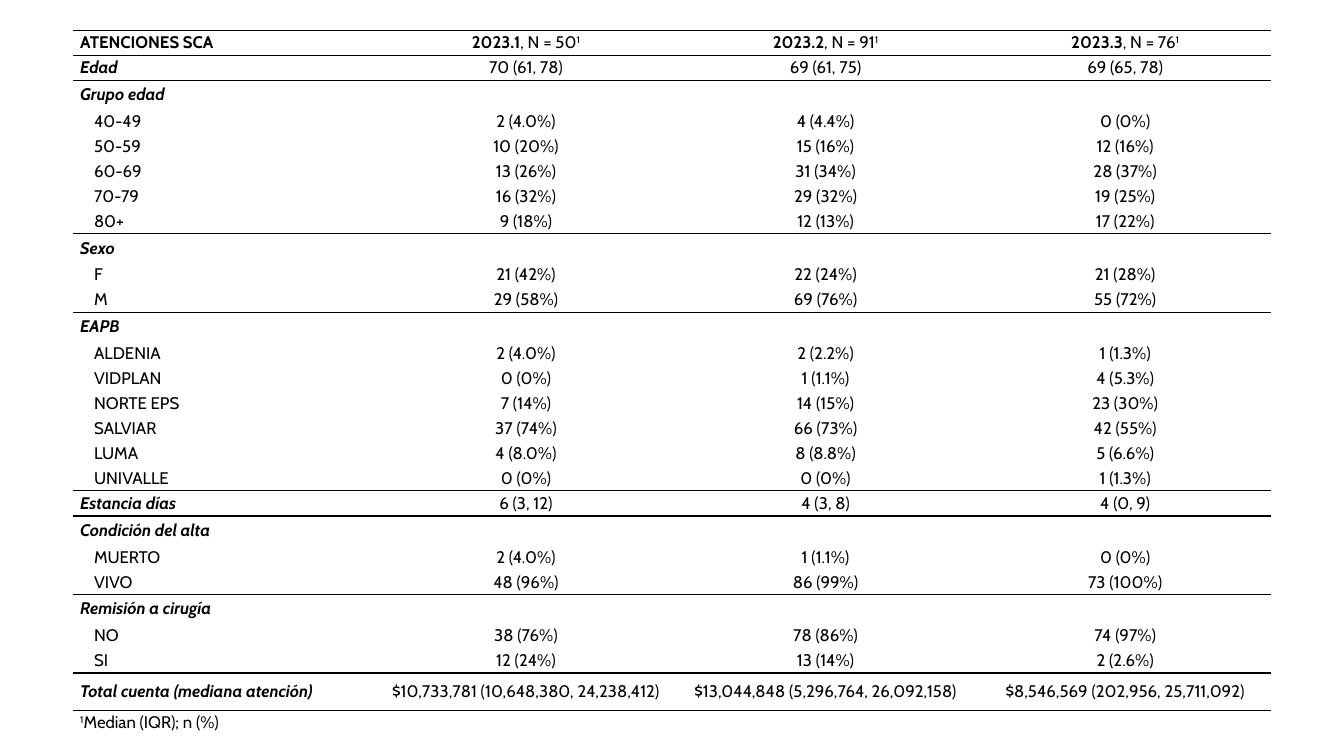
import pptx
import pptx.dml.color
import pptx.enum.text
import pptx.oxml.ns
import pptx.util
from lxml import etree

Cm = pptx.util.Cm
Pt = pptx.util.Pt
qn = pptx.oxml.ns.qn

BLACK = pptx.dml.color.RGBColor(0, 0, 0)
WHITE = pptx.dml.color.RGBColor(255, 255, 255)

HEADER, SUMMARY, GROUP, ITEM, NOTE = range(5)
TOTAL_LABEL = "Total cuenta (mediana atención)"
PERIODS = [("2023.1", 50), ("2023.2", 91), ("2023.3", 76)]
ROWS = [
    (SUMMARY, "Edad", "70 (61, 78)", "69 (61, 75)", "69 (65, 78)"),
    (GROUP, "Grupo edad"),
    (ITEM, "40-49", "2 (4.0%)", "4 (4.4%)", "0 (0%)"),
    (ITEM, "50-59", "10 (20%)", "15 (16%)", "12 (16%)"),
    (ITEM, "60-69", "13 (26%)", "31 (34%)", "28 (37%)"),
    (ITEM, "70-79", "16 (32%)", "29 (32%)", "19 (25%)"),
    (ITEM, "80+", "9 (18%)", "12 (13%)", "17 (22%)"),
    (GROUP, "Sexo"),
    (ITEM, "F", "21 (42%)", "22 (24%)", "21 (28%)"),
    (ITEM, "M", "29 (58%)", "69 (76%)", "55 (72%)"),
    (GROUP, "EAPB"),
    (ITEM, "ALDENIA", "2 (4.0%)", "2 (2.2%)", "1 (1.3%)"),
    (ITEM, "VIDPLAN", "0 (0%)", "1 (1.1%)", "4 (5.3%)"),
    (ITEM, "NORTE EPS", "7 (14%)", "14 (15%)", "23 (30%)"),
    (ITEM, "SALVIAR", "37 (74%)", "66 (73%)", "42 (55%)"),
    (ITEM, "LUMA", "4 (8.0%)", "8 (8.8%)", "5 (6.6%)"),
    (ITEM, "UNIVALLE", "0 (0%)", "0 (0%)", "1 (1.3%)"),
    (SUMMARY, "Estancia días", "6 (3, 12)", "4 (3, 8)", "4 (0, 9)"),
    (GROUP, "Condición del alta"),
    (ITEM, "MUERTO", "2 (4.0%)", "1 (1.1%)", "0 (0%)"),
    (ITEM, "VIVO", "48 (96%)", "86 (99%)", "73 (100%)"),
    (GROUP, "Remisión a cirugía"),
    (ITEM, "NO", "38 (76%)", "78 (86%)", "74 (97%)"),
    (ITEM, "SI", "12 (24%)", "13 (14%)", "2 (2.6%)"),
    (SUMMARY, TOTAL_LABEL, "$10,733,781 (10,648,380, 24,238,412)",
     "$13,044,848 (5,296,764, 26,092,158)", "$8,546,569 (202,956, 25,711,092)"),
]


class Page:
    font_name = "Cabin"
    font_size = Pt(12)
    rule_width = Pt(1)
    indent = Cm(0.18)
    item_indent = Cm(0.53)

    def __init__(self, deck):
        self.slide = deck.slides.add_slide(deck.slide_layouts[6])

    def table(self, left, top, column_widths, row_heights):
        frame = self.slide.shapes.add_table(
            len(row_heights), len(column_widths), left, top,
            sum(column_widths), sum(row_heights))
        table = frame.table
        table.first_row = table.horz_banding = False
        for column, width in zip(table.columns, column_widths):
            column.width = width
        for row, height in zip(table.rows, row_heights):
            row.height = height
        return table

    def cell(self, cell, spans, indent, centred, ruled_top, ruled_bottom):
        """Fill a cell with spans, each a text and its font settings."""
        cell.margin_left = cell.margin_right = 0
        cell.margin_top = cell.margin_bottom = 0
        cell.vertical_anchor = pptx.enum.text.MSO_ANCHOR.MIDDLE
        cell.fill.solid()
        cell.fill.fore_color.rgb = WHITE
        self.borders(cell, ruled_top, ruled_bottom)
        para = cell.text_frame.paragraphs[0]
        if centred:
            para.alignment = pptx.enum.text.PP_ALIGN.CENTER
        para._p.get_or_add_pPr().set("marL", str(indent))
        for text, settings in spans:
            self.span(para, text, **settings)
        if not spans:
            size = str(round(self.font_size.pt * 100))
            etree.SubElement(para._p, qn("a:endParaRPr"), sz=size)

    def span(self, para, text, bold=False, italic=False, raised=False):
        span = para.add_run()
        span.text = text
        span.font.name = self.font_name
        span.font.size = self.font_size
        span.font.color.rgb = BLACK
        span.font.bold = bold
        span.font.italic = italic
        if raised:
            span._r.get_or_add_rPr().set("baseline", "30000")

    def borders(self, cell, ruled_top, ruled_bottom):
        properties = cell._tc.get_or_add_tcPr()
        sides = [("L", False), ("R", False), ("T", ruled_top), ("B", ruled_bottom)]
        for position, (side, ruled) in enumerate(sides):
            line = etree.Element(qn("a:ln" + side), w=str(self.rule_width))
            if ruled:
                fill = etree.SubElement(line, qn("a:solidFill"))
                etree.SubElement(fill, qn("a:srgbClr"), val=str(BLACK))
            else:
                etree.SubElement(line, qn("a:noFill"))
            properties.insert(position, line)


def table_rows():
    """List each row as its kind and the spans of its cells."""
    bold, raised, strong = {"bold": True}, {"raised": True}, {"bold": True, "italic": True}
    periods = [[(name, bold), (f", N = {count}", {}), ("1", raised)]
               for name, count in PERIODS]
    rows = [(HEADER, [[("ATENCIONES SCA", bold)], *periods])]
    for kind, label, *values in ROWS:
        label_style = {} if kind == ITEM else strong
        cells = [[(label, label_style)]] + [[(value, {})] for value in values]
        rows.append((kind, cells))
    rows.append((NOTE, [[("1", raised), ("Median (IQR); n (%)", {})]]))
    return rows


def row_height(kind, cells):
    if cells[0][0][0] == TOTAL_LABEL:
        return Cm(0.94)
    return Cm(0.72) if kind == GROUP else Cm(0.63)


def main():
    deck = pptx.Presentation()
    deck.slide_width = Cm(33.87)
    deck.slide_height = Cm(19.05)
    page = Page(deck)
    rows = table_rows()
    widths = [Cm(7.55)] * (1 + len(PERIODS))
    table = page.table(Cm(1.84), Cm(0.76), widths, [row_height(*row) for row in rows])
    for row, (kind, cells) in enumerate(rows):
        ruled_top = kind != ITEM
        ruled_bottom = kind != NOTE and rows[row + 1][0] != ITEM
        for column in range(len(widths)):
            spans = cells[column] if column < len(cells) else []
            label_indent = page.item_indent if kind == ITEM else page.indent
            page.cell(table.cell(row, column), spans,
                      page.indent if column else label_indent,
                      column > 0, ruled_top, ruled_bottom)
    note_row = len(rows) - 1
    table.cell(note_row, 0).merge(table.cell(note_row, len(widths) - 1))
    deck.save("out.pptx")


if __name__ == "__main__":
    main()
